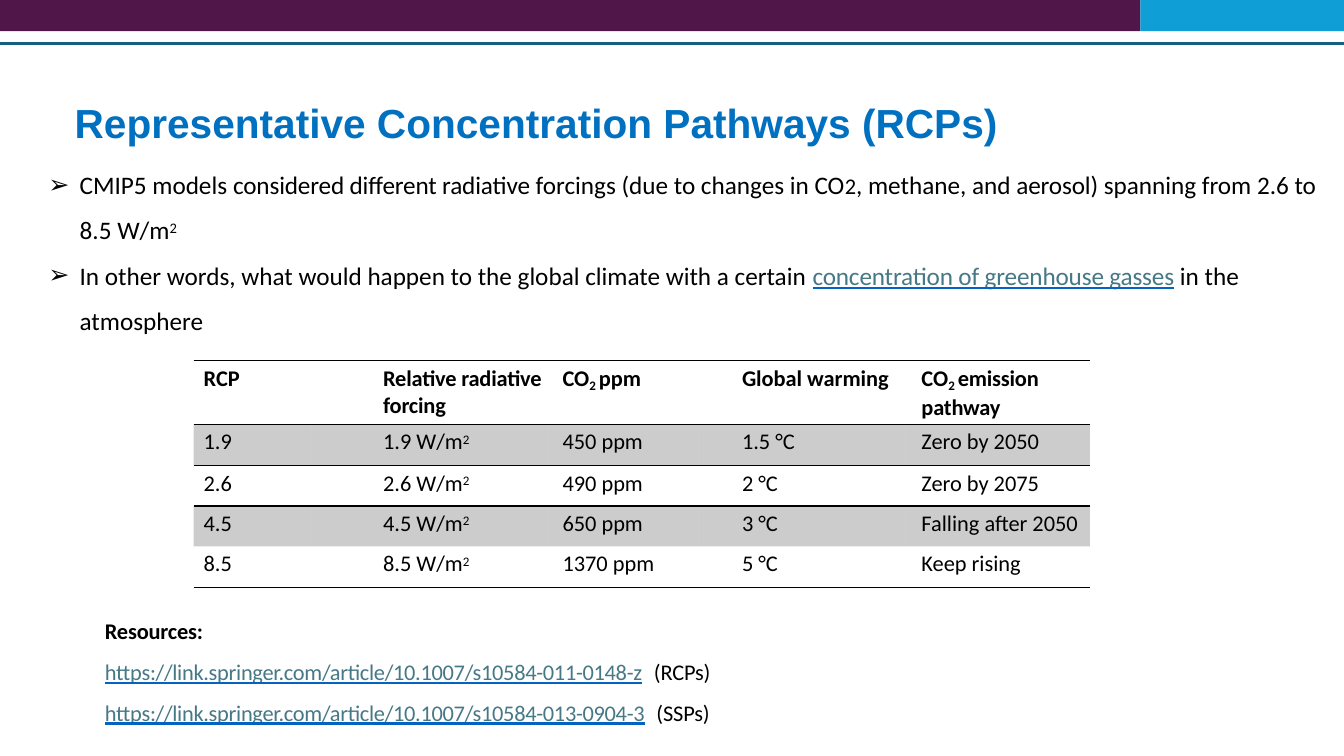
from dataclasses import dataclass

from lxml.etree import SubElement
from pptx import Presentation
from pptx.dml.color import RGBColor
from pptx.enum.shapes import MSO_CONNECTOR, MSO_SHAPE
from pptx.enum.text import MSO_ANCHOR, MSO_AUTO_SIZE, PP_ALIGN
from pptx.oxml import parse_xml
from pptx.oxml.ns import nsdecls, qn
from pptx.util import Emu, Pt

SCALE = 9144
BLACK = RGBColor(0x00, 0x00, 0x00)
BLUE = RGBColor(0x00, 0x70, 0xC0)
PLUM = RGBColor(0x50, 0x16, 0x49)
SKY = RGBColor(0x0F, 0x9E, 0xD5)
TEAL = RGBColor(0x15, 0x60, 0x82)
LINK = RGBColor(0x46, 0x78, 0x86)
UNDER = RGBColor(0x04, 0x62, 0xC1)
PLAIN = "{2D5ABB26-0587-4C30-8999-92F81FD0307C}"


@dataclass(frozen=True)
class Run:
    text: str
    space: float = 0
    size: float = 0
    base: int = 0
    link: bool = False


@dataclass(frozen=True)
class Bar:
    left: int
    width: int
    color: RGBColor


@dataclass(frozen=True)
class Column:
    width: int
    inset: int
    head: tuple[Run, ...]


@dataclass(frozen=True)
class Row:
    height: int
    rcp: str
    force: str
    ppm: str
    warming: str
    pathway: str

    def cells(self) -> list[tuple[Run, ...]]:
        return [(Run(self.rcp),), (Run(f"{self.force} W/m"), UP),
                (Run(f"{self.ppm} ppm"),), (Run(f"{self.warming} °C"),),
                (Run(self.pathway),)]


UP = Run("2", base=25)
DOWN = Run("2 ", base=-21)

BARS = [Bar(0, 1131, PLUM), Bar(1131, 202, SKY)]

POINTS = [
    (Run("CMIP5 models "), Run("considered different radiative ", -0.1),
     Run("forcings (due to changes in CO"), Run("2", size=16),
     Run(", methane, and "), Run("aerosol) ", -0.1),
     Run("spanning from 2.6 to 8.5 W/m"), UP),
    (Run("In other words, what would happen to the global climate with a certain "),
     Run("concentration of greenhouse gasses", -0.1, link=True),
     Run(" in the atmosphere")),
]

COLUMNS = [
    Column(117, 10, (Run("RCP"),)),
    Column(235, 71, (Run("Relative radiative forcing", -0.1),)),
    Column(149, 14, (Run("CO"), DOWN, Run("ppm"))),
    Column(205, 43, (Run("Global warming"),)),
    Column(183, 16, (Run("CO"), DOWN, Run("emission pathway", -0.1))),
]

HEAD = 63
ROWS = [
    Row(41, "1.9", "1.9", "450", "1.5", "Zero by 2050"),
    Row(40, "2.6", "2.6", "490", "2", "Zero by 2075"),
    Row(40, "4.5", "4.5", "650", "3", "Falling after 2050"),
    Row(41, "8.5", "8.5", "1370", "5", "Keep rising"),
]

SOURCES = [("011-0148-z", "(RCPs)"), ("013-0904-3", "(SSPs)")]


def px(count: int) -> Emu:
    return Emu(count * SCALE)


def place(shape, left: int, top: int, width: int, height: int) -> None:
    shape.left, shape.top = px(left), px(top)
    shape.width, shape.height = px(width), px(height)


def frame(shape, top: int):
    text = shape.text_frame
    text.word_wrap = True
    text.auto_size = MSO_AUTO_SIZE.NONE
    text.vertical_anchor = MSO_ANCHOR.TOP
    text.margin_left = text.margin_right = text.margin_bottom = 0
    text.margin_top = px(top)
    return text


def write(para, runs: tuple[Run, ...], size: float, bold: bool = False) -> None:
    para.alignment = PP_ALIGN.LEFT
    para.space_before = Pt(0)
    font = para.font
    font.name, font.size, font.bold = "Calibri", Pt(size), bold
    font.color.rgb = BLACK
    for item in runs:
        run = para.add_run()
        run.text = item.text
        props = run._r.get_or_add_rPr()
        if item.space:
            props.set("spc", str(round(item.space * 100)))
        if item.base:
            props.set("baseline", str(item.base * 1000))
        if item.size:
            run.font.size = Pt(item.size)
        if item.link:
            run.font.underline = True
            run.font.color.rgb = LINK
            props.find(qn("a:solidFill")).addnext(parse_xml(
                f'<a:uFill {nsdecls("a")}><a:solidFill>'
                f'<a:srgbClr val="{UNDER}"/></a:solidFill></a:uFill>'))


def fill_list(text, items: list[tuple[Run, ...]]) -> None:
    for index, runs in enumerate(items):
        para = text.add_paragraph() if index else text.paragraphs[0]
        props = para._p.get_or_add_pPr()
        props.set("marL", str(px(35)))
        props.set("indent", str(px(-31)))
        SubElement(props, qn("a:buChar")).set("char", "➢")
        para.line_spacing = Pt(32.4)
        write(para, runs, 18)


def draw_bars(slide) -> None:
    group = slide.shapes.add_group_shape().shapes
    for bar in BARS:
        rect = group.add_shape(MSO_SHAPE.RECTANGLE, px(bar.left), 0, px(bar.width), px(31))
        rect.shadow.inherit = False
        rect.fill.solid()
        rect.fill.fore_color.rgb = bar.color
        rect.line.fill.background()
    rule = slide.shapes.add_connector(MSO_CONNECTOR.STRAIGHT, 0, px(43), px(1333), px(43))
    rule.line.color.rgb = TEAL
    rule.line.width = Pt(2.25)
    SubElement(rule._element.spPr, qn("a:effectLst"))


def style_cell(cell, edges: tuple[str, ...], shade: bool) -> None:
    props = cell._tc.get_or_add_tcPr()
    for edge in edges:
        props.append(parse_xml(
            f'<a:{edge} {nsdecls("a")} w="{Pt(1)}"><a:solidFill>'
            f'<a:srgbClr val="{BLACK}"/></a:solidFill></a:{edge}>'))
    if shade:
        cell.fill.solid()
        cell.fill.fore_color.rgb = BLACK
        tint = props.find(qn("a:solidFill")).find(qn("a:srgbClr"))
        SubElement(tint, qn("a:alpha")).set("val", "20000")
    else:
        cell.fill.background()


def draw_table(slide) -> None:
    heights = [HEAD] + [row.height for row in ROWS]
    width = sum(col.width for col in COLUMNS)
    table = slide.shapes.add_table(len(heights), len(COLUMNS), px(192), px(358),
                                   px(width), px(sum(heights))).table
    table.first_row = table.horz_banding = False
    table._tbl.tblPr.find(qn("a:tableStyleId")).text = PLAIN
    for column, col in zip(table.columns, COLUMNS):
        column.width = px(col.width)
    grid = [[col.head for col in COLUMNS]] + [row.cells() for row in ROWS]
    edges = [("lnT", "lnB"), ("lnT", "lnB"), ("lnT",), (), ("lnB",)]
    for y, line in enumerate(grid):
        table.rows[y].height = px(heights[y])
        for x, runs in enumerate(line):
            cell = table.cell(y, x)
            cell.margin_left, cell.margin_top = px(COLUMNS[x].inset), px(4)
            cell.margin_right = cell.margin_bottom = 0
            write(cell.text_frame.paragraphs[0], runs, 16, y == 0)
            style_cell(cell, edges[y], y % 2 == 1)


def draw_sources(slide) -> None:
    box = slide.shapes.add_textbox(px(104), px(596), px(615), px(125))
    text = frame(box, 3)
    head = text.paragraphs[0]
    head.line_spacing = Pt(29)
    write(head, (Run("Resources:", -0.1),), 16, True)
    for code, label in SOURCES:
        para = text.add_paragraph()
        para.line_spacing = Pt(29)
        address = f"https://link.springer.com/article/10.1007/s10584-{code}"
        write(para, (Run(address, -0.2, link=True), Run(" ", 4.5), Run(label, -0.1)), 16)


def main() -> None:
    deck = Presentation()
    deck.slide_width, deck.slide_height = px(1333), px(750)
    slide = deck.slides.add_slide(deck.slide_layouts[1])
    title, body = slide.shapes.title, slide.placeholders[1]
    place(title, 64, 56, 1226, 136)
    title.text_frame.text = "Representative Concentration Pathways (RCPs)"
    title.text_frame.auto_size = MSO_AUTO_SIZE.NONE
    title.text_frame.vertical_anchor = MSO_ANCHOR.MIDDLE
    para = title.text_frame.paragraphs[0]
    para.alignment, para.line_spacing = PP_ALIGN.LEFT, 0.9
    para.font.name, para.font.size, para.font.bold = "Arial", Pt(29), True
    para.font.color.rgb = BLUE
    draw_bars(slide)
    place(body, 44, 151, 1275, 183)
    fill_list(frame(body, 2), POINTS)
    draw_table(slide)
    draw_sources(slide)
    deck.save("out.pptx")


if __name__ == "__main__":
    main()
